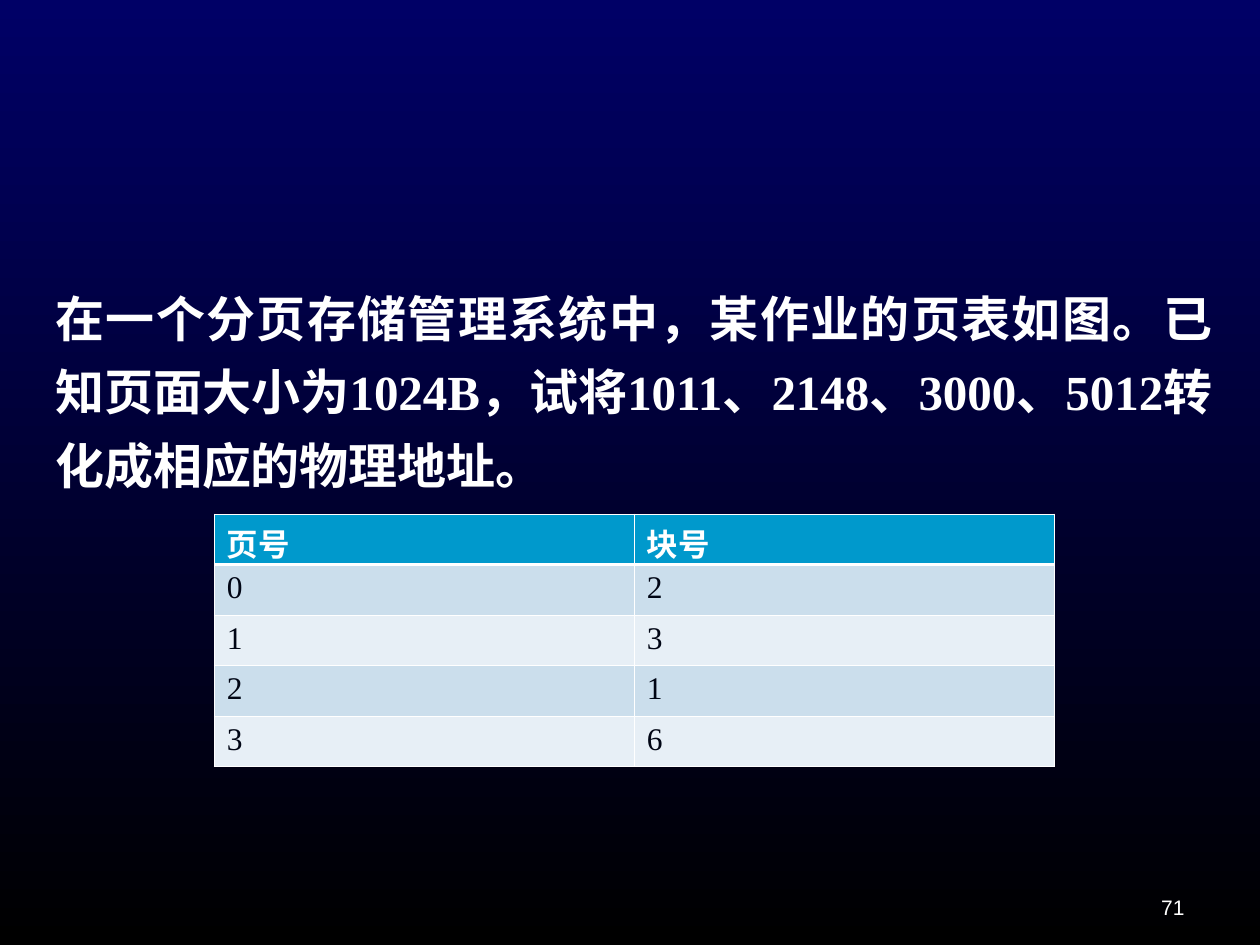
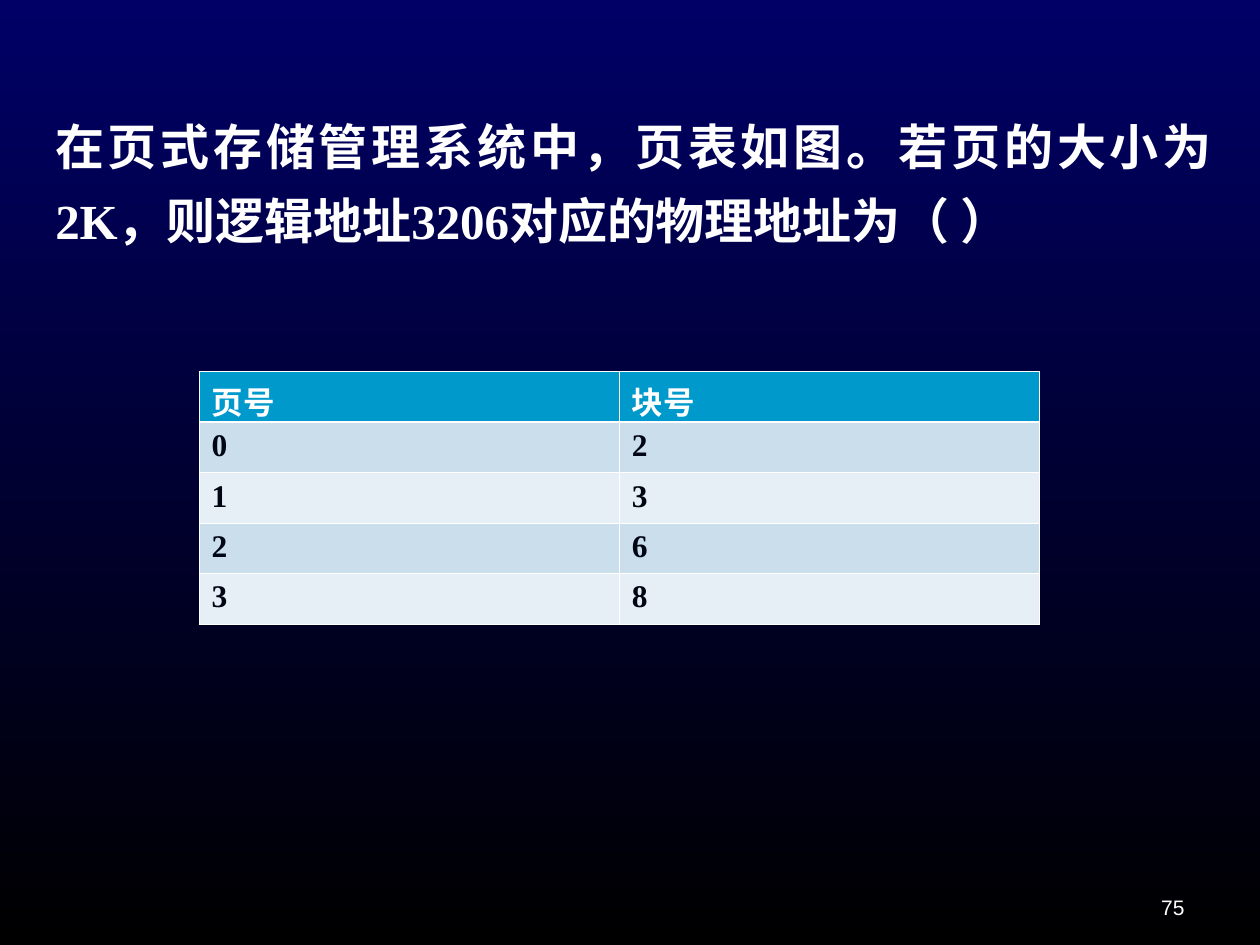
from lxml import etree
from pptx import Presentation
from pptx.dml.color import RGBColor
from pptx.enum.text import MSO_ANCHOR, PP_ALIGN
from pptx.oxml.ns import qn
from pptx.util import Inches, Pt

NAVY = RGBColor(0x00, 0x00, 0x66)
BLACK = RGBColor(0x00, 0x00, 0x00)
WHITE = RGBColor(0xFF, 0xFF, 0xFF)
INK = RGBColor(0x00, 0x05, 0x14)
HEADER = RGBColor(0x00, 0x99, 0xCC)
BANDS = (RGBColor(0xCB, 0xDE, 0xEC), RGBColor(0xE7, 0xEF, 0xF6))

SERIF = "Times New Roman"
SANS = "Arial"
THIN, THICK = Pt(0.45), Pt(1.47)


def style_paragraph(p, size, color, font=SERIF, bold=False):
    for r in p.runs:
        r.font.name = font
        r.font.size = Pt(size)
        r.font.bold = bold
        r.font.color.rgb = color


def add_text(slide, box, text, align, anchor=MSO_ANCHOR.TOP):
    """Add a wrapped text box and return its only paragraph."""
    tf = slide.shapes.add_textbox(*map(Inches, box)).text_frame
    tf.word_wrap = True
    tf.vertical_anchor = anchor
    tf.text = text
    p = tf.paragraphs[0]
    p.alignment = align
    return p


def add_background(slide):
    fill = slide.background.fill
    fill.gradient()
    fill.gradient_angle = 270
    for stop, color in zip(fill.gradient_stops, (NAVY, BLACK)):
        stop.color.rgb = color


def add_page_number(slide, number):
    p = add_text(slide, (7.17, 6.83, 2.33, 0.52), str(number),
                 PP_ALIGN.RIGHT, MSO_ANCHOR.BOTTOM)
    style_paragraph(p, 12, WHITE, SANS)


def add_question(slide, box, text):
    p = add_text(slide, box, text, PP_ALIGN.JUSTIFY)
    p.line_spacing = 1.25
    style_paragraph(p, 28, WHITE, bold=True)


def set_borders(cell, top, bottom):
    tc_pr = cell._tc.get_or_add_tcPr()
    for side, width in (("L", THIN), ("R", THIN), ("T", top), ("B", bottom)):
        ln = etree.SubElement(tc_pr, qn(f"a:ln{side}"), w=str(int(width)))
        fill = etree.SubElement(ln, qn("a:solidFill"))
        etree.SubElement(fill, qn("a:srgbClr"), val=str(WHITE))


def add_page_table(slide, box, blocks, bold):
    """Map each page number to its block number, under a header row."""
    rows = [("页号", "块号"), *enumerate(blocks)]
    table = slide.shapes.add_table(len(rows), 2, *map(Inches, box)).table
    for i, row in enumerate(rows):
        is_header = i == 0
        for j, value in enumerate(row):
            cell = table.cell(i, j)
            cell.text = str(value)
            set_borders(cell, THICK if i == 1 else THIN,
                        THICK if is_header else THIN)
            cell.fill.solid()
            cell.fill.fore_color.rgb = HEADER if is_header else BANDS[(i - 1) % 2]
            style_paragraph(cell.text_frame.paragraphs[0], 18,
                            WHITE if is_header else INK, bold=is_header or bold)


def add_exercise(prs, number, question, question_box, blocks, table_box,
                 bold=False):
    slide = prs.slides.add_slide(prs.slide_layouts[6])
    add_background(slide)
    add_page_number(slide, number)
    add_question(slide, question_box, question)
    add_page_table(slide, table_box, blocks, bold)


def main():
    prs = Presentation()
    prs.slide_width, prs.slide_height = Inches(10), Inches(7.5)
    add_exercise(
        prs, 71,
        "在一个分页存储管理系统中，某作业的页表如图。已知页面大小为1024B，"
        "试将1011、2148、3000、5012转化成相应的物理地址。",
        (0.34, 2.12, 9.38, 1.85), (2, 3, 1, 6), (1.7, 4.08, 6.67, 2))
    add_exercise(
        prs, 75,
        "在页式存储管理系统中，页表如图。若页的大小为2K，"
        "则逻辑地址3206对应的物理地址为（ ）",
        (0.34, 0.76, 9.38, 1.27), (2, 3, 6, 8), (1.58, 2.95, 6.67, 2),
        bold=True)
    prs.save("out.pptx")


if __name__ == "__main__":
    main()
